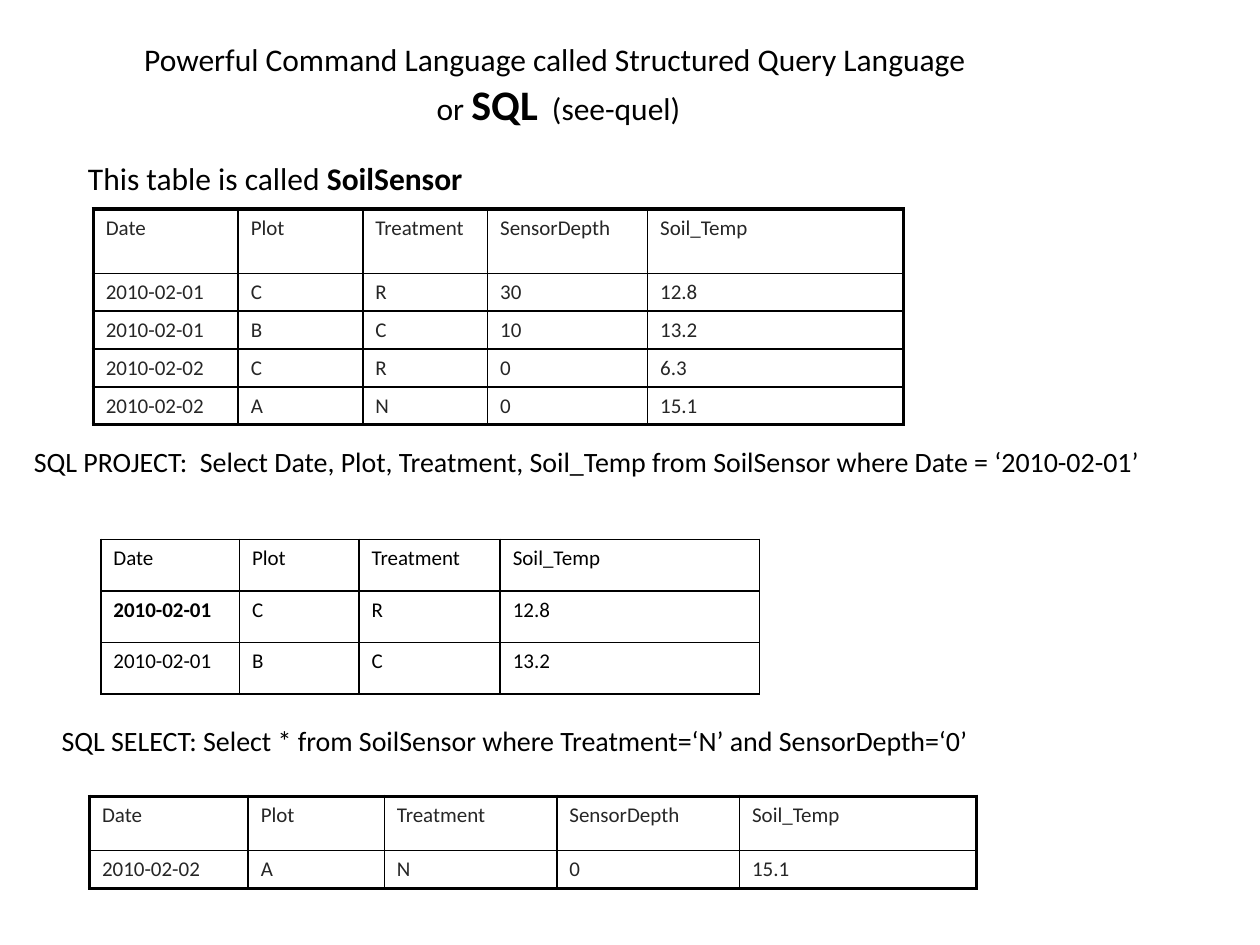
from lxml import etree
from pptx import Presentation
from pptx.dml.color import RGBColor
from pptx.enum.text import MSO_ANCHOR, MSO_AUTO_SIZE, PP_ALIGN
from pptx.oxml.ns import qn
from pptx.util import Inches, Pt

TOP = MSO_ANCHOR.TOP
GROW = MSO_AUTO_SIZE.SHAPE_TO_FIT_TEXT
CENTER = PP_ALIGN.CENTER
COLORS = {"black": "000000", "cell": "262626"}
FONT = "Calibri"
TITLE_ONLY = 5
THIN, THICK = 1, 2.25


def add_run(paragraph, text, size, bold=False, color="black"):
    run = paragraph.add_run()
    run.text = text
    run.font.name = FONT
    run.font.size = Pt(size)
    run.font.bold = bold
    run.font.color.rgb = RGBColor.from_string(COLORS[color])


def add_border(cell, side, width):
    """Draw one side (L, R, T or B) of a cell; call in that order."""
    line = etree.SubElement(cell._tc.get_or_add_tcPr(), qn(f"a:ln{side}"), w=str(Pt(width)))
    fill = etree.SubElement(line, qn("a:solidFill"))
    etree.SubElement(fill, qn("a:srgbClr"), val=COLORS["black"])


prs = Presentation()
prs.slide_width, prs.slide_height = Inches(10), Inches(7.5)
slide = prs.slides.add_slide(prs.slide_layouts[TITLE_ONLY])

# Title
title = slide.shapes.title
title.left, title.top, title.width, title.height = map(Inches, (0.53, 0.27, 7.75, 0.81))
title.text_frame.word_wrap = True
title.text_frame.vertical_anchor = TOP
title.text_frame.auto_size = GROW
heading = title.text_frame.paragraphs[0]
heading.alignment = CENTER
add_run(heading, "Powerful Command Language called Structured Query Language", 18)
heading.add_line_break()
add_run(heading, " or ", 18)
add_run(heading, "SQL", 24, bold=True)
add_run(heading, "  (see-quel)", 18)

# Captions: position, size in points, (text, bold) runs
captions = [
    ((0.6, 1.21, 5.94, 0.4), 18, [("This table is called ", False), ("SoilSensor", True)]),
    ((0.17, 3.48, 9.42, 0.37), 16,
     [("SQL PROJECT:  Select Date, Plot, Treatment, Soil_Temp from SoilSensor "
       "where Date = ‘2010-02-01’", False)]),
    ((0.39, 5.69, 7.74, 0.37), 16,
     [("SQL SELECT: Select * from SoilSensor where Treatment=‘N’ and SensorDepth=‘0’", False)]),
]
for position, size, runs in captions:
    caption = slide.shapes.add_textbox(*map(Inches, position)).text_frame
    caption.word_wrap = True
    caption.auto_size = GROW
    for text, bold in runs:
        add_run(caption.paragraphs[0], text, size, bold)

# The full table and the two query results
fields = ["Date", "Plot", "Treatment", "SensorDepth", "Soil_Temp"]
readings = [
    ["2010-02-01", "C", "R", "30", "12.8"],
    ["2010-02-01", "B", "C", "10", "13.2"],
    ["2010-02-02", "C", "R", "0", "6.3"],
    ["2010-02-02", "A", "N", "0", "15.1"],
]
projected = [row[:3] + row[4:] for row in [fields] + readings[:2]]
selected = [fields, readings[3]]

# Left, top, column widths, header height, row height, outline, text colour, bold cells
tables = [
    ([fields] + readings, 0.74, 1.66, [1.15, 0.99, 0.99, 1.27, 2.03], 0.51, 0.3, THICK, "cell", []),
    (projected, 0.8, 4.28, [1.1, 0.95, 1.12, 2.06], 0.41, 0.41, THIN, "black", [(1, 0)]),
    (selected, 0.71, 6.32, [1.26, 1.08, 1.37, 1.45, 1.88], 0.43, 0.3, THICK, "cell", []),
]
for rows, left, top, widths, header_height, row_height, outline, color, bold_cells in tables:
    heights = [header_height] + [row_height] * (len(rows) - 1)
    table = slide.shapes.add_table(
        len(rows), len(widths), Inches(left), Inches(top),
        Inches(sum(widths)), Inches(sum(heights))).table
    table.first_row = table.horz_banding = False
    for column, width in zip(table.columns, widths):
        column.width = Inches(width)
    for r, values in enumerate(rows):
        table.rows[r].height = Inches(heights[r])
        for c, value in enumerate(values):
            cell = table.cell(r, c)
            add_run(cell.text_frame.paragraphs[0], value, 12, (r, c) in bold_cells, color)
            on_edge = {"L": c == 0, "R": c == len(widths) - 1,
                       "T": r == 0, "B": r == len(rows) - 1}
            for side, outer in on_edge.items():
                add_border(cell, side, outline if outer else THIN)
            cell.fill.background()

prs.save("out.pptx")
